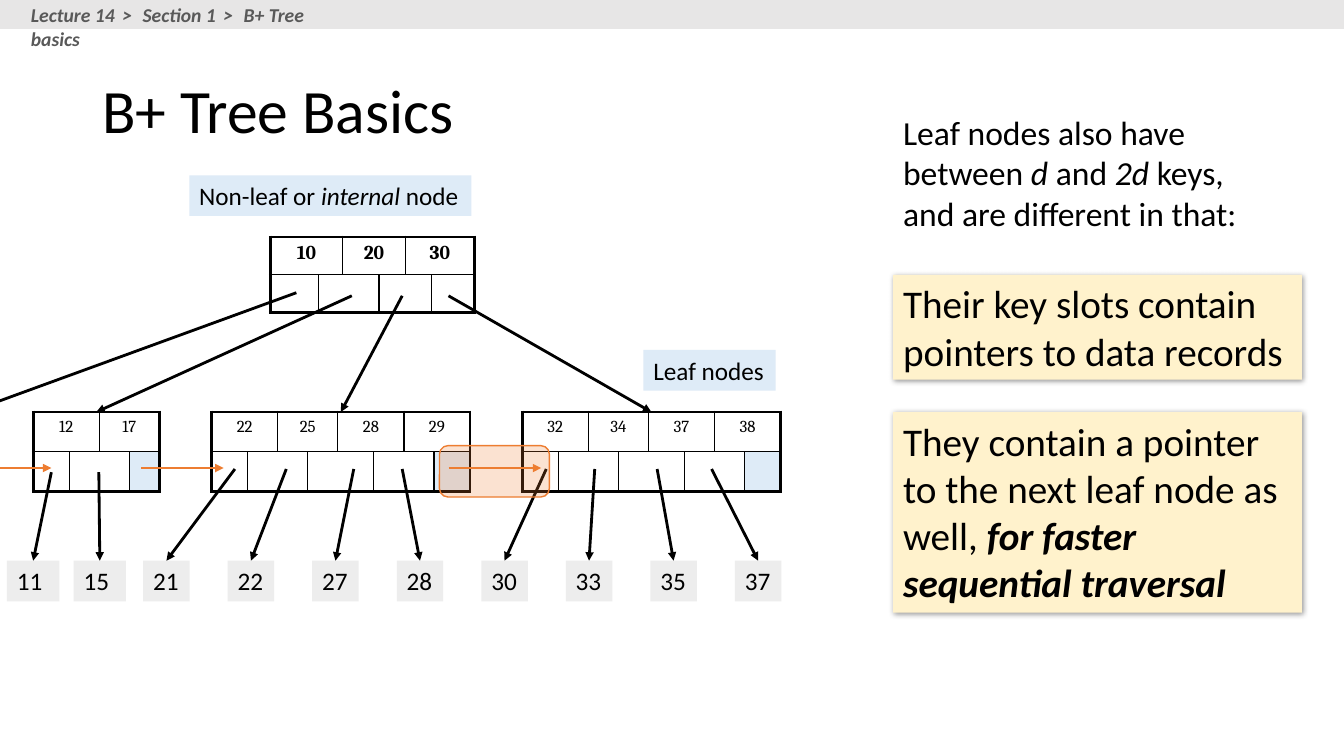
from dataclasses import dataclass

import pptx
import pptx.dml.color
import pptx.enum.dml
import pptx.enum.shapes
import pptx.enum.text
import pptx.oxml
import pptx.util
from pptx.oxml.ns import nsdecls, qn

Pt = pptx.util.Pt
Shapes = pptx.enum.shapes.MSO_SHAPE
Anchor = pptx.enum.text.MSO_ANCHOR
Align = pptx.enum.text.PP_ALIGN


@dataclass(frozen=True)
class Theme:
    """Colours, fonts and type sizes of the slide."""
    ink: str = "000000"
    band: str = "E7E6E6"
    crumb: str = "595959"
    label: str = "DEEBF7"
    record: str = "EDEDED"
    note: str = "FFF2CC"
    accent: str = "ED7D31"
    body_font: str = "Calibri"
    key_font: str = "Cambria"
    title_size: int = 44
    note_size: int = 28
    intro_size: int = 24
    label_size: int = 18
    small_size: int = 14
    key_size: int = 12


@dataclass(frozen=True)
class Box:
    """A rectangle in points."""
    left: float
    top: float
    width: float
    height: float

    def inner(self, left, top, width, height):
        """Return a box placed relative to this one."""
        return Box(self.left + left, self.top + top, width, height)

    def lengths(self):
        """Return the four lengths for python-pptx."""
        return [Pt(n) for n in (self.left, self.top, self.width, self.height)]


THEME = Theme()


def colour(code):
    """Turn a hex code into a colour."""
    return pptx.dml.color.RGBColor.from_string(code)


def add_span(para, text, size, font=THEME.body_font, ink=THEME.ink, bold=False, italic=False):
    """Add one formatted run to a paragraph."""
    span = para.add_run()
    span.text = text
    span.font.size = Pt(size)
    span.font.name = font
    span.font.bold = bold
    span.font.italic = italic
    span.font.color.rgb = colour(ink)
    return span


def add_panel(page, box, fill, kind=Shapes.RECTANGLE):
    """Add a filled shape without line or shadow."""
    panel = page.shapes.add_shape(kind, *box.lengths())
    panel.shadow.inherit = False
    panel.fill.solid()
    panel.fill.fore_color.rgb = colour(fill)
    panel.line.fill.background()
    return panel


def first_para(shape, anchor=Anchor.TOP):
    """Prepare a shape's text frame and return its left-aligned paragraph."""
    shape.text_frame.word_wrap = True
    shape.text_frame.vertical_anchor = anchor
    para = shape.text_frame.paragraphs[0]
    para.alignment = Align.LEFT
    return para


def add_label(page, box, fill, spans, size=THEME.label_size):
    """Add a filled box with (text, bold, italic) spans."""
    panel = add_panel(page, box, fill)
    para = first_para(panel)
    for text, bold, italic in spans:
        add_span(para, text, size, bold=bold, italic=italic)
    return panel


def add_arrow(page, start, end, ink=THEME.ink, target=None):
    """Add an arrow, joined to the top of a target when given."""
    arrow = page.shapes.add_connector(
        pptx.enum.shapes.MSO_CONNECTOR.STRAIGHT, *[Pt(n) for n in (*start, *end)])
    if target is not None:
        arrow.end_connect(target, 0)
    arrow.line.width = Pt(2)
    arrow.line.color.rgb = colour(ink)
    arrow.line._get_or_add_ln().append(
        pptx.oxml.parse_xml(f'<a:tailEnd {nsdecls("a")} type="triangle"/>'))
    arrow._element.spPr.append(pptx.oxml.parse_xml(f'<a:effectLst {nsdecls("a")}/>'))


def style_cell(cell, thick, fill=None):
    """Draw the four cell borders, the thick sides heavier, and set the fill."""
    cell.margin_top = cell.margin_bottom = 0
    properties = cell._tc.get_or_add_tcPr()
    for side in "LRTB":
        width = Pt(2.25 if side in thick else 1)
        properties.append(pptx.oxml.parse_xml(
            f'<a:ln{side} {nsdecls("a")} w="{width}"><a:solidFill>'
            f'<a:srgbClr val="{THEME.ink}"/></a:solidFill></a:ln{side}>'))
    if fill:
        cell.fill.solid()
        cell.fill.fore_color.rgb = colour(fill)
    else:
        cell.fill.background()


def add_node(page, box, columns, keys, size, bold=False, last_fill=None):
    """Draw a tree node: a row of keys above a row of pointer slots."""
    count = len(columns)
    grid = page.shapes.add_table(2, count, *box.lengths()).table
    grid.first_row = grid.horz_banding = False
    for column, width in zip(grid.columns, columns):
        column.width = Pt(width)
    for row in grid.rows:
        row.height = Pt(box.height / 2)
    key_spans = [(n, n + 1) for n in range(0, count, 2)]
    slot_spans = [(0, 0), *[(n, n + 1) for n in range(1, count - 1, 2)], (count - 1, count - 1)]
    for index, spans in enumerate((key_spans, slot_spans)):
        for first, last in spans:
            thick = "TB"[index] + "L" * (first == 0) + "R" * (last == count - 1)
            fill = last_fill if index and last == count - 1 else None
            for number in range(first, last + 1):
                style_cell(grid.cell(index, number), thick, fill)
            if last > first:
                grid.cell(index, first).merge(grid.cell(index, last))
    for (first, _), key in zip(key_spans, keys):
        cell = grid.cell(0, first)
        cell.margin_top = Pt(3.6)
        para = cell.text_frame.paragraphs[0]
        para.alignment = Align.CENTER
        add_span(para, key, size, THEME.key_font, bold=bold)


def add_leaf(page, box, columns, keys, records, starts, start_y, first, pitch, width):
    """Draw a leaf node with arrows down to its data records."""
    add_node(page, box, columns, keys, THEME.key_size, last_fill=THEME.label)
    for index, (record, start) in enumerate(zip(records, starts)):
        place = box.inner(first + index * pitch, 106.2, width, 29)
        target = add_label(page, place, THEME.record, [(record, False, False)])
        add_arrow(page, (box.left + start, box.top + start_y),
                  (place.left + width / 2, place.top), target=target)


def add_tree(page, box):
    """Draw the root, the leaves, their pointers and the two labels."""
    add_label(page, box.inner(135.2, 0, 201.6, 29), THEME.label,
              [("Non-leaf or ", False, False), ("internal ", False, True), ("node", False, False)])
    add_label(page, box.inner(459.6, 124.7, 94.5, 29), THEME.label, [("Leaf nodes", False, False)])
    add_node(page, box.inner(193, 44, 144, 54), [34.6, 15.1, 25.9, 18.7, 18.7, 31],
             ["10", "20", "30"], THEME.small_size, bold=True)
    wide, slim = 25.7, 21.5
    short = [wide, slim, slim, slim]
    full = [wide, slim, slim, slim, wide, slim, slim, wide]
    leaves = [
        (23.7, short, ["12", "17"], ["11", "15"], [13, 46.9], 43, -18.7, 47.6, 37.4),
        (151.2, full, ["22", "25", "28", "29"], ["21", "22", "27", "28"],
         [16.6, 53.3, 101.5, 136.1], 40.7, -48.9, 60.37, 33.2),
        (373, full, ["32", "34", "37", "38"], ["30", "33", "35", "37"],
         [17.2, 51.8, 96.4, 135.3], 40.7, -29.2, 60.37, 33.2),
    ]
    ends = [(box.left - 9.4, box.top + 164.4)]
    for left, columns, *details in leaves:
        place = box.inner(left, 169, sum(columns), 56.8)
        add_leaf(page, place, columns, *details)
        ends.append((place.left + place.width / 2, place.top))
    for (x, y), end in zip([(211.7, 83.8), (251.3, 86), (287.3, 86), (320.4, 86)], ends):
        add_arrow(page, (box.left + x, box.top + y), end)
    highlight = add_panel(page, box.inner(313.9, 193, 78.5, 36.7), THEME.accent,
                          Shapes.ROUNDED_RECTANGLE)
    highlight.line.color.rgb = colour(THEME.accent)
    highlight.line.width = Pt(1)
    shade = highlight._element.spPr.find(qn("a:solidFill")).find(qn("a:srgbClr"))
    shade.append(pptx.oxml.parse_xml(f'<a:alpha {nsdecls("a")} val="22000"/>'))
    level = box.top + 209
    for start, end in [(0, 36.7), (100.8, 159.8), (320.4, 386.6)]:
        add_arrow(page, (box.left + start, level), (box.left + end, level), THEME.accent)


def add_notes(page, box):
    """Write the introduction and the two shadowed notes."""
    intro = page.shapes.add_textbox(*box.inner(0, 0, 281, 94.3).lengths())
    para = first_para(intro)
    for text, italic in [("Leaf nodes also have between ", False), ("d ", True), ("and ", False),
                         ("2d ", True), ("keys, and are different in that:", False)]:
        add_span(para, text, THEME.intro_size, italic=italic)
    notes = [
        (120, 75, [("Their key slots contain pointers to data records", False, False)]),
        (218, 143.3, [("They contain a pointer to the next leaf node as well, ", False, False),
                      ("for faster sequential traversal", True, True)]),
    ]
    for top, height, spans in notes:
        note = add_label(page, box.inner(0, top, box.width, height), THEME.note, spans,
                         THEME.note_size)
        note._element.spPr.find(qn("a:effectLst")).append(pptx.oxml.parse_xml(
            f'<a:outerShdw {nsdecls("a")} blurRad="{Pt(4)}" dist="{Pt(1)}" dir="2700000">'
            f'<a:srgbClr val="{THEME.ink}"><a:alpha val="40000"/></a:srgbClr></a:outerShdw>'))


def add_header(page, box):
    """Draw the top band with its breadcrumb."""
    add_panel(page, box, THEME.band)
    trail = page.shapes.add_textbox(*box.inner(15, -1.4, 244, 24.2).lengths())
    para = first_para(trail)
    for text in ["Lecture 14", " > ", "Section 1", " > ", "B+ Tree basics"]:
        span = add_span(para, text, THEME.small_size, ink=THEME.crumb, bold=True, italic=True)
        if text == " > ":
            span.font._element.set("spc", "210")


def add_title(page, box):
    """Write the slide title."""
    para = first_para(page.shapes.add_textbox(*box.lengths()), Anchor.MIDDLE)
    para.line_spacing = 0.9
    add_span(para, "B+ Tree Basics", THEME.title_size)


def main():
    """Build the slide and save it."""
    deck = pptx.Presentation()
    deck.slide_width, deck.slide_height = Pt(960), Pt(540)
    page = deck.slides.add_slide(deck.slide_layouts[6])
    add_title(page, Box(66, 28.8, 828, 104.4))
    add_tree(page, Box(0, 125.3, 565, 305))
    add_notes(page, Box(638, 76.3, 292, 361))
    add_header(page, Box(0, 0, 960, 20.7))
    deck.save("out.pptx")


if __name__ == "__main__":
    main()
